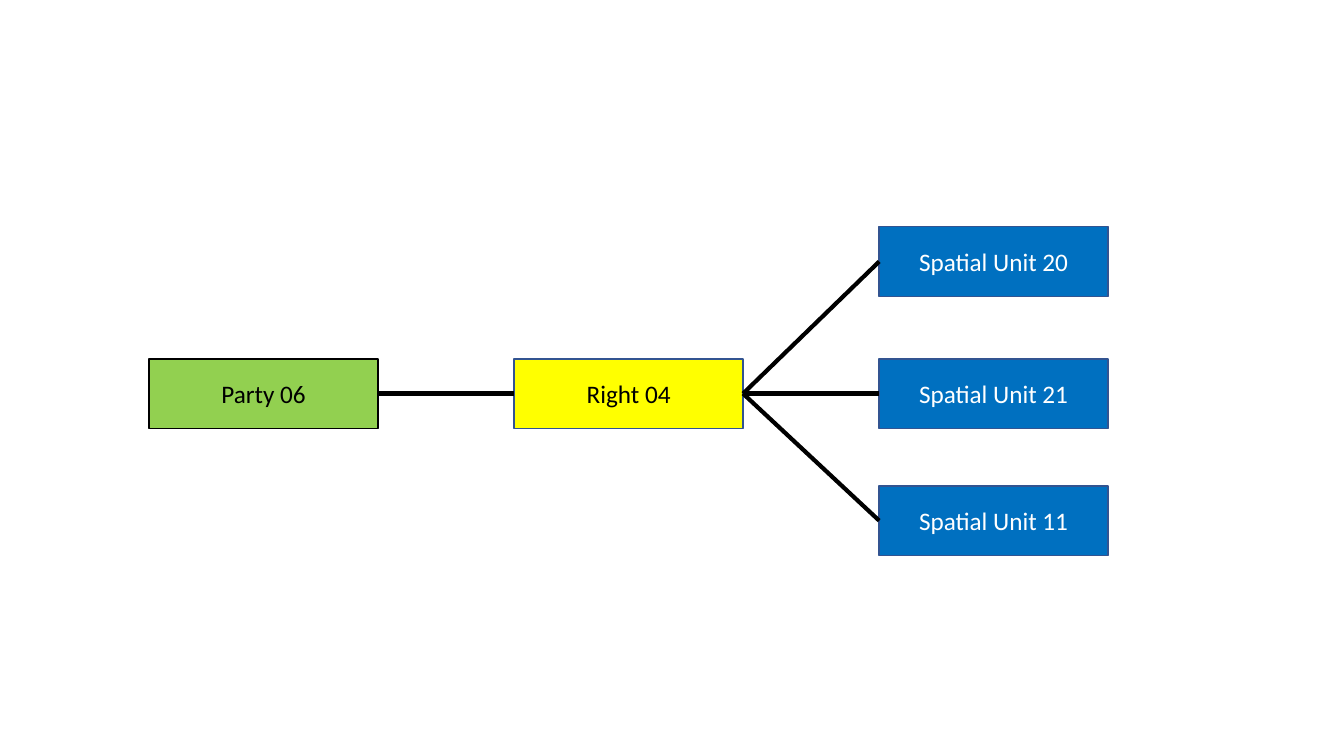
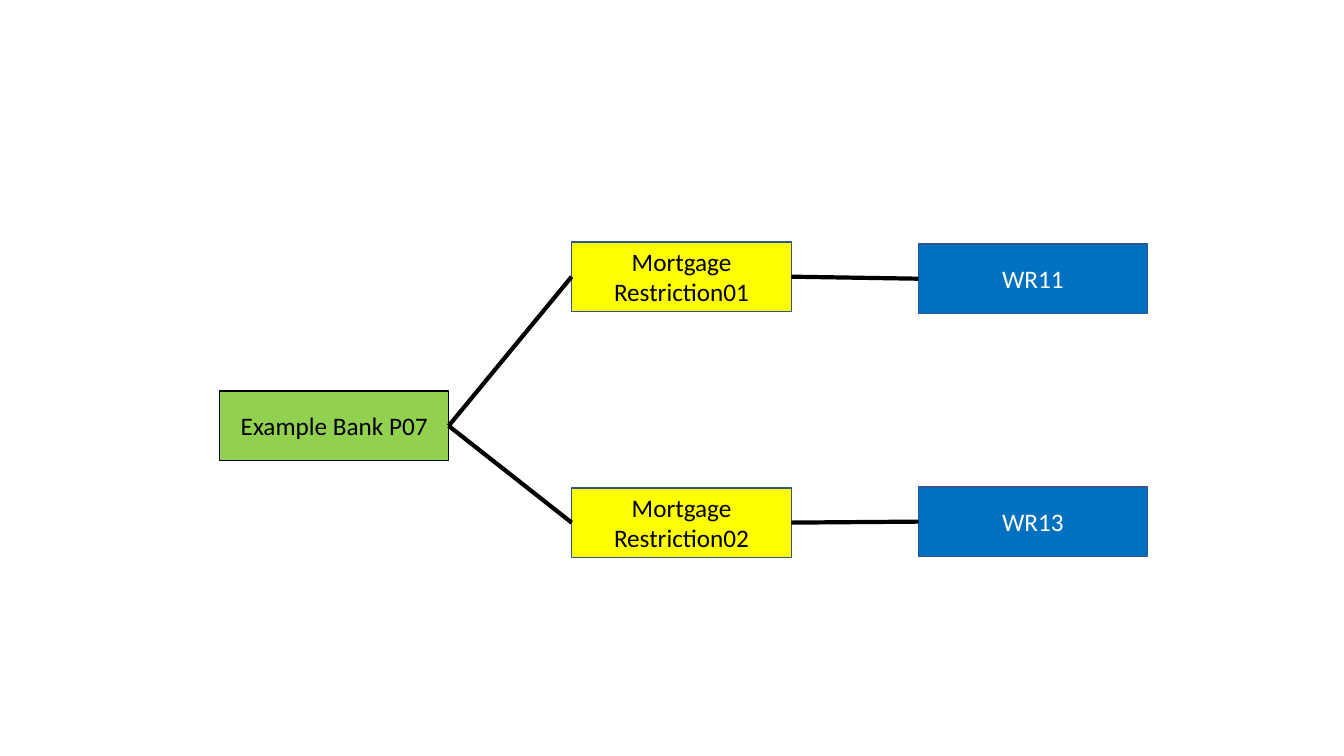
from lxml import etree
from pptx import Presentation
from pptx.dml.color import RGBColor
from pptx.enum.shapes import MSO_CONNECTOR, MSO_SHAPE
from pptx.enum.text import MSO_ANCHOR, PP_ALIGN
from pptx.oxml.ns import qn
from pptx.util import Inches, Pt

RECT = MSO_SHAPE.RECTANGLE
STRAIGHT = MSO_CONNECTOR.STRAIGHT
MIDDLE = MSO_ANCHOR.MIDDLE
CENTER = PP_ALIGN.CENTER

BLACK = RGBColor(0x00, 0x00, 0x00)
WHITE = RGBColor(0xFF, 0xFF, 0xFF)
GREEN = RGBColor(0x92, 0xD0, 0x50)
YELLOW = RGBColor(0xFF, 0xFF, 0x00)
BLUE = RGBColor(0x00, 0x70, 0xC0)
NAVY = RGBColor(0x32, 0x54, 0x91)

BOX_W, BOX_H = 2.27, 0.69
RESTRICTION_W = 2.18
LEFT_SITE, RIGHT_SITE = 1, 3

PARTY = {"fill": GREEN, "line": BLACK, "text": BLACK}
RIGHT = {"fill": YELLOW, "line": NAVY, "text": BLACK}
UNIT = {"fill": BLUE, "line": NAVY, "text": WHITE}
FONT = {"name": "Calibri", "size": Pt(18)}
FRAME = {"word_wrap": True, "vertical_anchor": MIDDLE}


def set_all(obj, values):
    for name, value in values.items():
        setattr(obj, name, value)


def add_box(s, text, left, top, style, width=BOX_W):
    sp = s.shapes.add_shape(RECT, Inches(left), Inches(top), Inches(width), Inches(BOX_H))
    sp.shadow.inherit = False
    sp.fill.solid()
    sp.fill.fore_color.rgb = style["fill"]
    sp.line.color.rgb = style["line"]
    sp.line.width = Pt(1)
    tf = sp.text_frame
    set_all(tf, FRAME)
    p = tf.paragraphs[0]
    p.alignment = CENTER
    r = p.add_run()
    r.text = text
    set_all(r.font, FONT)
    r.font.color.rgb = style["text"]
    return sp


def link(s, source, target):
    cx = s.shapes.add_connector(STRAIGHT, 0, 0, 0, 0)
    cx.begin_connect(source, RIGHT_SITE)
    cx.end_connect(target, LEFT_SITE)
    cx.line.color.rgb = BLACK
    cx.line.width = Pt(3)
    etree.SubElement(cx._element.spPr, qn("a:effectLst"))


def build_right_slide(s):
    party = add_box(s, "Party 06", 1.48, 3.56, PARTY)
    right = add_box(s, "Right 04", 5.1, 3.56, RIGHT)
    link(s, party, right)
    for number, top in ((20, 2.25), (21, 3.56), (11, 4.82)):
        unit = add_box(s, f"Spatial Unit {number}", 8.72, top, UNIT)
        link(s, right, unit)


def build_mortgage_slide(s):
    bank = add_box(s, "Example Bank P07", 2.18, 3.88, PARTY)
    rows = (("01", 2.4, "WR11", 2.42), ("02", 4.84, "WR13", 4.83))
    for number, top, unit_name, unit_top in rows:
        restriction = add_box(s, f"Mortgage Restriction{number}", 5.67, top, RIGHT, RESTRICTION_W)
        unit = add_box(s, unit_name, 9.11, unit_top, UNIT)
        link(s, bank, restriction)
        link(s, restriction, unit)


def main():
    prs = Presentation()
    prs.slide_width, prs.slide_height = Inches(13.33), Inches(7.5)
    blank = prs.slide_layouts[6]
    for build in (build_right_slide, build_mortgage_slide):
        build(prs.slides.add_slide(blank))
    prs.save("out.pptx")


main()
